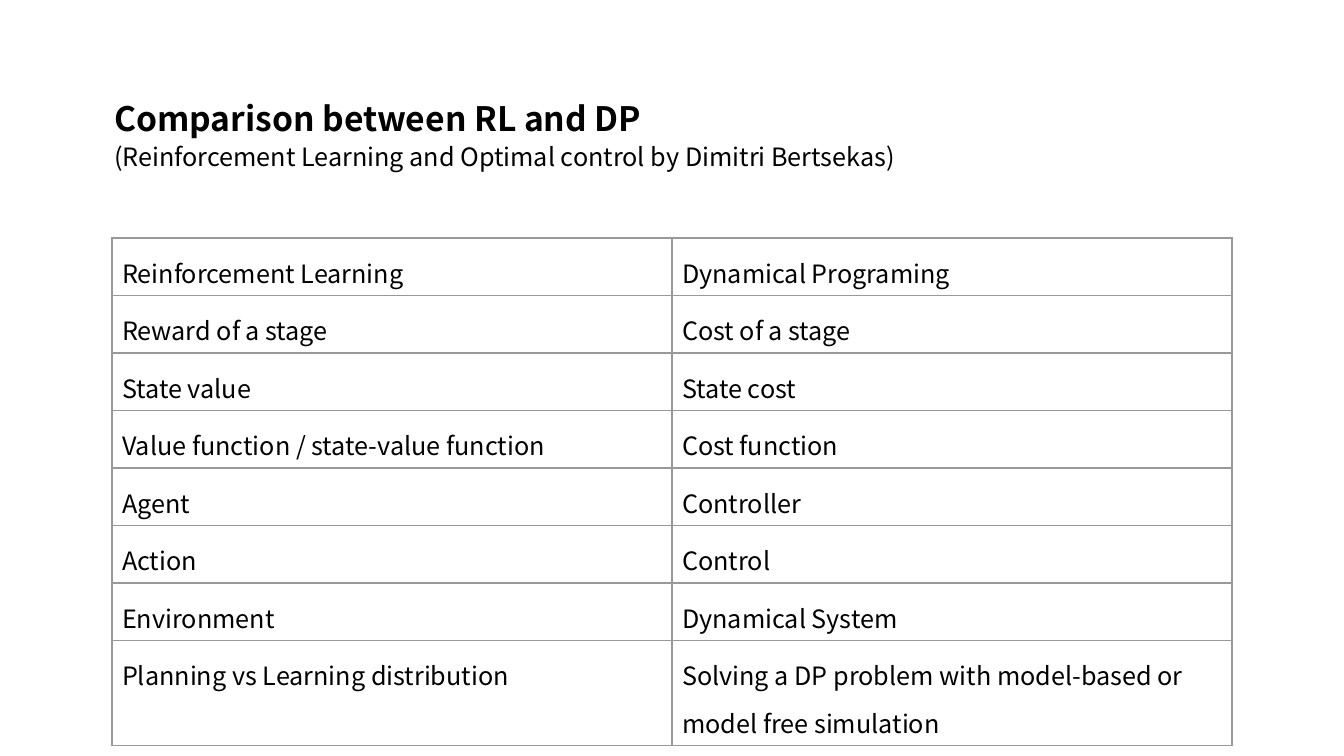
from typing import NamedTuple

from lxml import etree
from pptx import Presentation
from pptx.dml.color import RGBColor
from pptx.enum.text import MSO_ANCHOR, MSO_AUTO_SIZE, PP_ALIGN
from pptx.oxml.ns import qn
from pptx.util import Pt

EMU_PER_PX = 914400 / 100.8
TOP = MSO_ANCHOR.TOP
NO_AUTOFIT = MSO_AUTO_SIZE.NONE
LEFT = PP_ALIGN.LEFT

BLACK = RGBColor(0x00, 0x00, 0x00)
WHITE = RGBColor(0xFF, 0xFF, 0xFF)
GRAY = RGBColor(0x99, 0x99, 0x99)
FONT = "Noto Sans CJK SC"

TITLE_ONLY_LAYOUT = 5
COLUMN_WIDTH = 560
ROW_HEIGHT = 42
BORDER_SIDES = ("a:lnL", "a:lnR", "a:lnT", "a:lnB")


class TermPair(NamedTuple):
    learning: str
    programming: str


TERMS = [
    TermPair("Reinforcement Learning", "Dynamical Programing"),
    TermPair("Reward of a stage", "Cost of a stage"),
    TermPair("State value", "State cost"),
    TermPair("Value function / state-value function", "Cost function"),
    TermPair("Agent", "Controller"),
    TermPair("Action", "Control"),
    TermPair("Environment", "Dynamical System"),
    TermPair("Planning vs Learning distribution",
             "Solving a DP problem with model-based or model free simulation"),
]


def px(length: int) -> int:
    return round(length * EMU_PER_PX)


def write(paragraph, text: str, *, size: int = 18, bold: bool = False,
          spacing: float = 1.3) -> None:
    paragraph.alignment = LEFT
    paragraph.line_spacing = spacing
    paragraph.space_before = Pt(0)
    run = paragraph.add_run()
    run.text = text
    run.font.name = FONT
    run.font.size = Pt(size)
    run.font.bold = bold
    run.font.color.rgb = BLACK


def add_borders(cell) -> None:
    """Insert the border lines ahead of the cell fill, as the schema requires."""
    properties = cell._tc.get_or_add_tcPr()
    for position, side in enumerate(BORDER_SIDES):
        line = etree.Element(qn(side), w=str(Pt(1)))
        fill = etree.SubElement(line, qn("a:solidFill"))
        etree.SubElement(fill, qn("a:srgbClr"), val=str(GRAY))
        properties.insert(position, line)


def add_heading(slide) -> None:
    heading = slide.shapes.title
    heading.left, heading.top = px(104), px(89)
    heading.width, heading.height = px(974), px(110)
    frame = heading.text_frame
    frame.word_wrap = True
    frame.auto_size = NO_AUTOFIT
    frame.vertical_anchor = TOP
    write(frame.paragraphs[0], "Comparison between RL and DP",
          size=24, bold=True, spacing=1.1)
    write(frame.add_paragraph(),
          "(Reinforcement Learning and Optimal control by Dimitri Bertsekas)",
          spacing=1.1)


def add_term_table(slide, terms: list[TermPair]) -> None:
    columns = len(TermPair._fields)
    table = slide.shapes.add_table(
        len(terms), columns, px(112), px(238),
        px(COLUMN_WIDTH * columns), px(ROW_HEIGHT * len(terms))).table
    table.first_row = False
    table.horz_banding = False
    for row, pair in zip(table.rows, terms):
        for cell, term in zip(row.cells, pair):
            cell.fill.solid()
            cell.fill.fore_color.rgb = WHITE
            add_borders(cell)
            write(cell.text_frame.paragraphs[0], term)


def main() -> None:
    presentation = Presentation()
    presentation.slide_width = px(1344)
    presentation.slide_height = px(756)
    slide = presentation.slides.add_slide(
        presentation.slide_layouts[TITLE_ONLY_LAYOUT])
    add_heading(slide)
    add_term_table(slide, TERMS)
    presentation.save("out.pptx")


if __name__ == "__main__":
    main()
